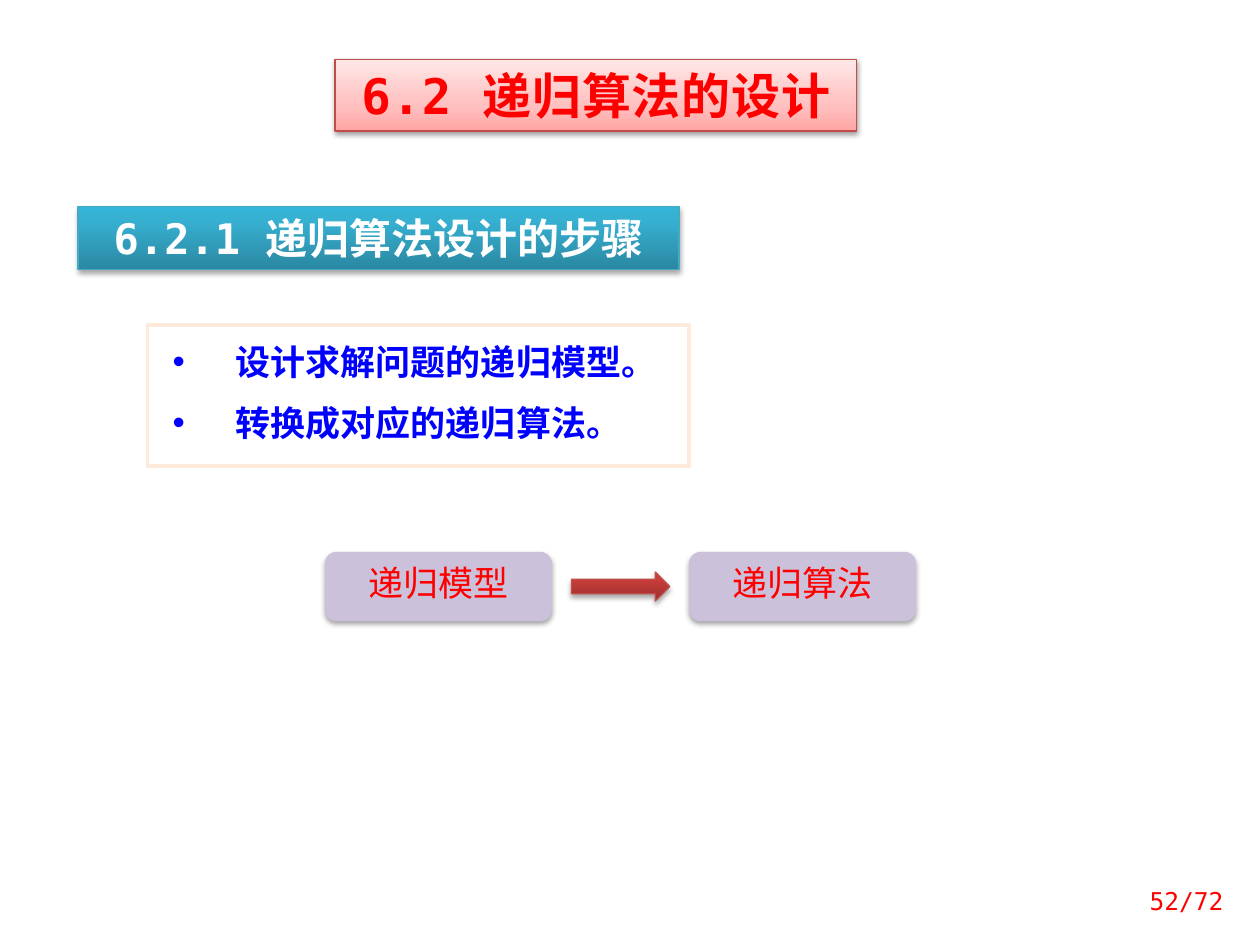
from dataclasses import dataclass

from lxml import etree
from pptx import Presentation
from pptx.dml.color import RGBColor
from pptx.enum.shapes import MSO_SHAPE
from pptx.enum.text import MSO_ANCHOR, MSO_AUTO_SIZE, PP_ALIGN
from pptx.oxml.ns import qn
from pptx.util import Inches, Pt

RECTANGLE = MSO_SHAPE.RECTANGLE
ROUNDED = MSO_SHAPE.ROUNDED_RECTANGLE
RIGHT_ARROW = MSO_SHAPE.RIGHT_ARROW
LEFT, CENTER, RIGHT = PP_ALIGN.LEFT, PP_ALIGN.CENTER, PP_ALIGN.RIGHT
TOP, MIDDLE = MSO_ANCHOR.TOP, MSO_ANCHOR.MIDDLE
FIT_SHAPE = MSO_AUTO_SIZE.SHAPE_TO_FIT_TEXT


@dataclass(frozen=True)
class Theme:
    mono: str = "DejaVu Sans Mono"
    sans: str = "Calibri"
    red: str = "FF0000"
    blue: str = "0000FF"
    white: str = "FFFFFF"
    peach: str = "FDEADA"
    lilac: str = "CCC1DA"
    red_edge: str = "BF4C48"
    teal_edge: str = "46AAC5"
    pink_blend: tuple = ((0, "FFA6A5"), (35, "FFC0BF"), (100, "FFE7E7"))
    teal_blend: tuple = ((0, "2A88A2"), (80, "37B1D2"), (100, "34B4D6"))
    red_blend: tuple = ((0, "9C2F2D"), (80, "CB3E3A"), (100, "CE3B37"))
    title_size: int = 28
    heading_size: int = 24
    body_size: int = 20
    number_size: int = 14


THEME = Theme()


def color(code):
    return RGBColor.from_string(code)


def add_color(parent, code):
    return etree.SubElement(parent, qn("a:srgbClr"), val=code)


def fill_blend(shape, stops):
    """Fill with a gradient that runs from bottom to top."""
    shape.fill.gradient()
    shape.fill.gradient_angle = 90
    stop_list = shape.fill._fill._gradFill.find(qn("a:gsLst"))
    stop_list.clear()
    for position, code in stops:
        stop = etree.SubElement(stop_list, qn("a:gs"), pos=str(position * 1000))
        add_color(stop, code)


def add_shadow(shape, opacity, distance):
    effects = shape._element.spPr.find(qn("a:effectLst"))
    shadow = etree.SubElement(
        effects, qn("a:outerShdw"), blurRad=str(Pt(3.1)), dist=str(Pt(distance)),
        dir="5400000", rotWithShape="0")
    etree.SubElement(add_color(shadow, "000000"), qn("a:alpha"), val=str(opacity * 1000))


def add_panel(shapes, kind, box, fill, edge=None, edge_width=0.75):
    shape = shapes.add_shape(kind, *map(Inches, box))
    if isinstance(fill, tuple):
        fill_blend(shape, fill)
    else:
        shape.fill.solid()
        shape.fill.fore_color.rgb = color(fill)
    if edge:
        shape.line.color.rgb = color(edge)
        shape.line.width = Pt(edge_width)
    else:
        shape.line.fill.background()
    shape.shadow.inherit = False
    return shape


def write_text(shape, text, size, code, font=THEME.mono, bold=False,
               align=CENTER, anchor=TOP):
    frame = shape.text_frame
    frame.word_wrap = True
    frame.vertical_anchor = anchor
    frame.text = text
    for para in frame.paragraphs:
        para.alignment = align
        for span in para.runs:
            span.font.name = font
            span.font.size = Pt(size)
            span.font.bold = bold
            span.font.color.rgb = color(code)
    return frame


def add_title(page, box):
    panel = add_panel(page.shapes, RECTANGLE, box, THEME.pink_blend, THEME.red_edge)
    add_shadow(panel, 38, 1.6)
    frame = write_text(panel, "6.2 递归算法的设计", THEME.title_size, THEME.red, bold=True)
    frame.auto_size = FIT_SHAPE
    span = frame.paragraphs[0].runs[0]
    span.font._element.set("spc", "50")


def add_heading(page, box):
    panel = add_panel(page.shapes, RECTANGLE, box, THEME.teal_blend, THEME.teal_edge)
    add_shadow(panel, 35, 1.8)
    frame = write_text(panel, "6.2.1 递归算法设计的步骤", THEME.heading_size,
                       THEME.white, bold=True)
    frame.auto_size = FIT_SHAPE


def add_steps(page, box):
    panel = add_panel(page.shapes, RECTANGLE, box, THEME.white, THEME.peach, 2)
    steps = ["设计求解问题的递归模型。", "转换成对应的递归算法。"]
    frame = write_text(panel, "\n".join(steps), THEME.body_size, THEME.blue,
                       bold=True, align=LEFT)
    frame.auto_size = FIT_SHAPE
    frame.margin_left, frame.margin_top = Inches(0.2), Inches(0.12)
    frame.margin_right, frame.margin_bottom = Inches(0.1), Inches(0.16)
    for para in frame.paragraphs:
        para.space_before = Pt(11)
        properties = para._p.get_or_add_pPr()
        properties.set("marL", str(Inches(0.5)))
        properties.set("indent", str(Inches(-0.5)))
        etree.SubElement(properties, qn("a:buFont"), typeface="Arial")
        etree.SubElement(properties, qn("a:buChar"), char="•")


def add_flow(page, box):
    """Two nodes at the ends of the box, with an arrow centred between them."""
    left, top, width, height = box
    node_width, arrow_width, arrow_height = 1.8, 0.78, 0.23
    group = page.shapes.add_group_shape()

    def add_node(node_left, text):
        node = add_panel(group.shapes, ROUNDED, (node_left, top, node_width, height),
                         THEME.lilac)
        add_shadow(node, 35, 1.8)
        frame = write_text(node, text, THEME.body_size, THEME.red, THEME.sans,
                           anchor=MIDDLE)
        frame.paragraphs[0].line_spacing = 0.8
        frame.paragraphs[0].space_before = Pt(10)

    add_node(left, "递归模型")
    arrow_box = (left + (width - arrow_width) / 2, top + (height - arrow_height) / 2,
                 arrow_width, arrow_height)
    arrow = add_panel(group.shapes, RIGHT_ARROW, arrow_box, THEME.red_blend,
                      THEME.red_edge)
    add_shadow(arrow, 35, 1.8)
    add_node(left + width - node_width, "递归算法")


def add_page_number(page, box):
    number = page.shapes.add_textbox(*map(Inches, box))
    write_text(number, "52/72", THEME.number_size, THEME.red, align=RIGHT, anchor=MIDDLE)


def main():
    deck = Presentation()
    deck.slide_width, deck.slide_height = Inches(10), Inches(7.5)
    page = deck.slides.add_slide(deck.slide_layouts[6])
    add_title(page, (2.66, 0.47, 4.14, 0.57))
    add_heading(page, (0.62, 1.64, 4.77, 0.5))
    add_steps(page, (1.17, 2.58, 4.3, 1.12))
    add_flow(page, (2.58, 4.38, 4.69, 0.55))
    add_page_number(page, (8.83, 6.95, 0.98, 0.4))
    deck.save("out.pptx")


if __name__ == "__main__":
    main()
